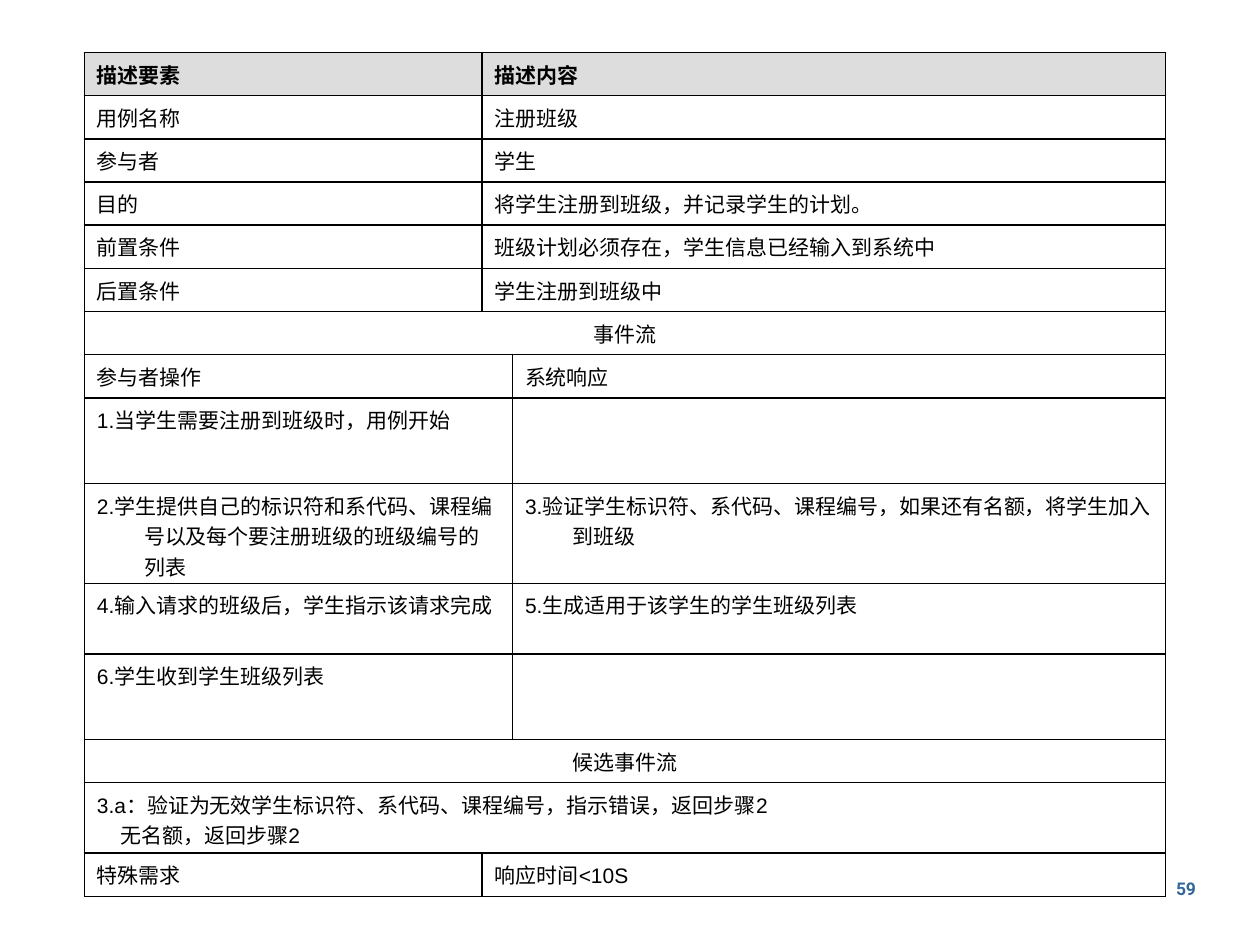
from dataclasses import dataclass
from lxml.etree import SubElement
from pptx import Presentation
from pptx.dml.color import RGBColor
from pptx.enum.text import PP_ALIGN
from pptx.oxml.ns import qn
from pptx.util import Cm, Pt


@dataclass(frozen=True)
class Theme:
    ink: str = "000000"
    head: str = "DDDDDD"
    mark: str = "336699"
    face: str = "Arial"
    mark_face: str = "Roboto"
    body: int = 12
    small: int = 10
    rule: int = 1
    hang: float = 0.95
    inset: float = 0.48


LOW, MID, TALL, HIGH = 0.87, 1.42, 1.73, 2.01
COLS = 8.02, 0.61, 13.17
ROWS = [
    (LOW, 1, "描述要素", "描述内容"),
    (LOW, 1, "用例名称", "注册班级"),
    (LOW, 1, "参与者", "学生"),
    (LOW, 1, "目的", "将学生注册到班级，并记录学生的计划。"),
    (LOW, 1, "前置条件", "班级计划必须存在，学生信息已经输入到系统中"),
    (LOW, 1, "后置条件", "学生注册到班级中"),
    (LOW, 3, "事件流", ""),
    (LOW, 2, "参与者操作", "系统响应"),
    (TALL, 2, "1.当学生需要注册到班级时，用例开始", ""),
    (HIGH, 2, "2.学生提供自己的标识符和系代码、课程编号以及每个要注册班级的班级编号的列表",
     "3.验证学生标识符、系代码、课程编号，如果还有名额，将学生加入到班级"),
    (MID, 2, "4.输入请求的班级后，学生指示该请求完成", "5.生成适用于该学生的学生班级列表"),
    (TALL, 2, "6.学生收到学生班级列表", ""),
    (LOW, 3, "候选事件流", ""),
    (MID, 3, "3.a：验证为无效学生标识符、系代码、课程编号，指示错误，返回步骤2\n无名额，返回步骤2", ""),
    (LOW, 1, "特殊需求", "响应时间<10S"),
]


class Page:
    def __init__(self, slide, theme):
        self.slide = slide
        self.theme = theme

    def style(self, para, face, size, tint, bold):
        for run in para.runs:
            font = run.font
            font.name, font.size, font.bold = face, Pt(size), bold
            font.color.rgb = RGBColor.from_string(tint)

    def edge(self, cell):
        props = cell._tc.get_or_add_tcPr()
        for side in ("lnL", "lnR", "lnT", "lnB"):
            line = SubElement(props, qn(f"a:{side}"), w=str(Pt(self.theme.rule)))
            fill = SubElement(line, qn("a:solidFill"))
            SubElement(fill, qn("a:srgbClr"), val=self.theme.ink)

    def label(self, cell, text, bold, mid):
        theme = self.theme
        cell.text_frame.text = text
        for i, para in enumerate(cell.text_frame.paragraphs):
            props = para._p.get_or_add_pPr()
            props.set("marL", str(Cm(theme.hang)))
            props.set("indent", str(-Cm(theme.inset if i else theme.hang)))
            para.alignment = PP_ALIGN.CENTER if mid else PP_ALIGN.LEFT
            self.style(para, theme.face, theme.body, theme.ink, bold)

    def table(self, left, top, cols, rows):
        high = sum(row[0] for row in rows)
        grid = self.slide.shapes.add_table(
            len(rows), len(cols), Cm(left), Cm(top), Cm(sum(cols)), Cm(high)).table
        grid.first_row = grid.horz_banding = False
        for col, wide in zip(grid.columns, cols):
            col.width = Cm(wide)
        last = len(cols) - 1
        for i, (tall, split, first, second) in enumerate(rows):
            grid.rows[i].height = Cm(tall)
            for cell in grid.rows[i].cells:
                self.edge(cell)
                if i:
                    cell.fill.background()
                else:
                    cell.fill.solid()
                    cell.fill.fore_color.rgb = RGBColor.from_string(self.theme.head)
            if split > 1:
                grid.cell(i, 0).merge(grid.cell(i, split - 1))
            if split < last:
                grid.cell(i, split).merge(grid.cell(i, last))
            mid = split > last and "\n" not in first
            self.label(grid.cell(i, 0), first, i == 0, mid)
            if second:
                self.label(grid.cell(i, split), second, i == 0, False)

    def number(self, text, left, top, wide, high):
        box = self.slide.shapes.add_textbox(Cm(left), Cm(top), Cm(wide), Cm(high))
        box.text_frame.word_wrap = True
        box.text_frame.text = text
        para = box.text_frame.paragraphs[0]
        para.alignment = PP_ALIGN.RIGHT
        theme = self.theme
        self.style(para, theme.mark_face, theme.small, theme.mark, True)


def main():
    deck = Presentation()
    deck.slide_width, deck.slide_height = Cm(25.4), Cm(19.05)
    page = Page(deck.slides.add_slide(deck.slide_layouts[6]), Theme())
    page.number("59", 21.39, 17.58, 2.97, 0.84)
    page.table(1.7, 1.06, COLS, ROWS)
    deck.save("out.pptx")


if __name__ == "__main__":
    main()
